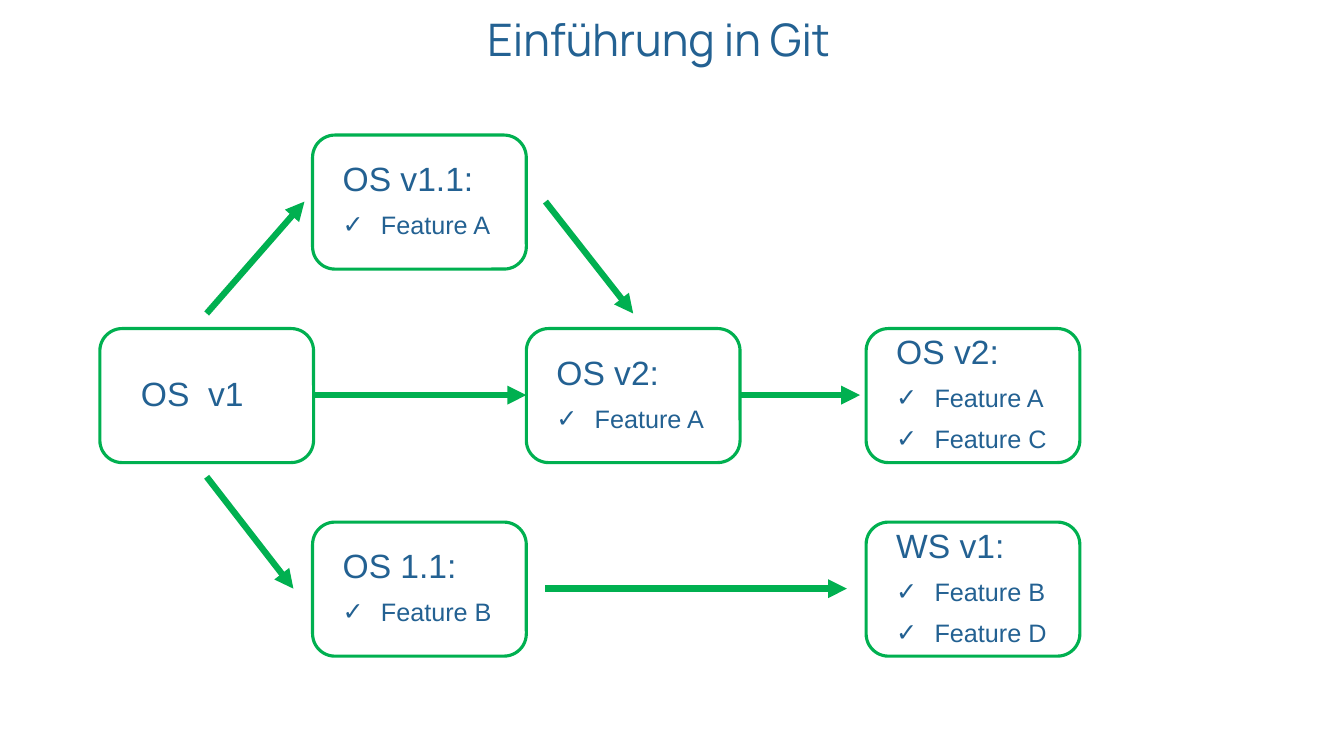
from dataclasses import dataclass

from lxml.etree import SubElement
from pptx import Presentation
from pptx.dml.color import RGBColor
from pptx.enum.shapes import MSO_CONNECTOR as Connector, MSO_SHAPE as Shape
from pptx.enum.text import MSO_AUTO_SIZE as AutoSize, PP_ALIGN as Align
from pptx.oxml.ns import qn
from pptx.util import Inches, Pt


@dataclass(frozen=True)
class Theme:
    text: RGBColor = RGBColor(0x23, 0x61, 0x92)
    green: RGBColor = RGBColor(0x00, 0xB0, 0x50)
    title_font: str = "Manrope"
    body_font: str = "Arial"
    title_size: int = 32
    version_size: int = 24
    feature_size: int = 18
    border: float = 2.25
    arrow: float = 4.5


THEME = Theme()

# Version boxes share one size and sit on a grid of columns and rows
BOX_WIDTH, BOX_HEIGHT = 2.12, 1.33
COLUMNS = [0.99, 3.1, 5.22, 8.59]
ROWS = [1.34, 3.26, 5.18]
TEXT_HEIGHTS = [0.46, 0.88, 1.29]  # by number of features
NARROW, WIDE = 1.72, 2.12

# Column, row, text indent, text width, version, features
VERSIONS = [
    (0, 1, 0.31, NARROW, "OS  v1", []),
    (1, 0, 0.2, WIDE, "OS v1.1:", ["Feature A"]),
    (2, 1, 0.2, NARROW, "OS v2:", ["Feature A"]),
    (1, 2, 0.2, WIDE, "OS 1.1:", ["Feature B"]),
    (3, 2, 0.2, WIDE, "WS v1:", ["Feature B", "Feature D"]),
    (3, 1, 0.2, NARROW, "OS v2:", ["Feature A", "Feature C"]),
]

# Start and end points
ARROWS = [
    ((2.05, 3.11), (3.02, 2)),
    ((2.05, 4.73), (2.91, 5.84)),
    ((5.41, 2), (6.28, 3.11)),
    ((7.34, 3.92), (8.53, 3.92)),
    ((5.41, 5.84), (8.4, 5.84)),
    ((3.1, 3.92), (5.22, 3.92)),
]


def apply(target, **values):
    for name, value in values.items():
        setattr(target, name, value)


def add_text_box(slide, left, top, width, height, wrap=True):
    box = slide.shapes.add_textbox(*map(Inches, (left, top, width, height)))
    apply(box.text_frame, word_wrap=wrap, auto_size=AutoSize.SHAPE_TO_FIT_TEXT)
    return box.text_frame


def write(para, text, size, font, **layout):
    apply(para, line_spacing=0.9, **layout)
    span = para.add_run()
    span.text = text
    apply(span.font, size=Pt(size), name=font)
    span.font.color.rgb = THEME.text


def add_check_mark(para):
    props = para._p.get_or_add_pPr()
    props.set("marL", str(Inches(0.38)))
    props.set("indent", str(Inches(-0.38)))
    SubElement(props, qn("a:buFont")).set("typeface", THEME.body_font)
    SubElement(props, qn("a:buChar")).set("char", "✓")


def add_title(slide, text):
    frame = add_text_box(slide, 4.72, 0.13, 3.63, 0.59, wrap=False)
    write(frame.paragraphs[0], text, THEME.title_size, THEME.title_font,
          alignment=Align.CENTER)


def add_version(slide, column, row, indent, width, version, features):
    left, top = COLUMNS[column], ROWS[row]
    # Text, centred on the height of the box
    height = TEXT_HEIGHTS[len(features)]
    frame = add_text_box(slide, left + indent, top + (BOX_HEIGHT - height) / 2,
                         width, height)
    write(frame.paragraphs[0], version, THEME.version_size, THEME.body_font)
    for feature in features:
        para = frame.add_paragraph()
        add_check_mark(para)
        write(para, feature, THEME.feature_size, THEME.body_font,
              space_before=Pt(10))
    # Outline
    box = slide.shapes.add_shape(Shape.ROUNDED_RECTANGLE, *map(
        Inches, (left, top, BOX_WIDTH, BOX_HEIGHT)))
    box.shadow.inherit = False
    box.fill.background()
    box.line.color.rgb = THEME.green
    box.line.width = Pt(THEME.border)


def add_arrow(slide, start, end):
    arrow = slide.shapes.add_connector(
        Connector.STRAIGHT, *map(Inches, (*start, *end)))
    arrow.line.color.rgb = THEME.green
    arrow.line.width = Pt(THEME.arrow)
    SubElement(arrow.line._get_or_add_ln(), qn("a:tailEnd")).set("type", "triangle")
    SubElement(arrow._element.spPr, qn("a:effectLst"))


def main():
    deck = Presentation()
    apply(deck, slide_width=Inches(13.33), slide_height=Inches(7.5))
    slide = deck.slides.add_slide(deck.slide_layouts[6])
    add_title(slide, "Einführung in Git")
    for version in VERSIONS:
        add_version(slide, *version)
    for start, end in ARROWS:
        add_arrow(slide, start, end)
    deck.save("out.pptx")


if __name__ == "__main__":
    main()
